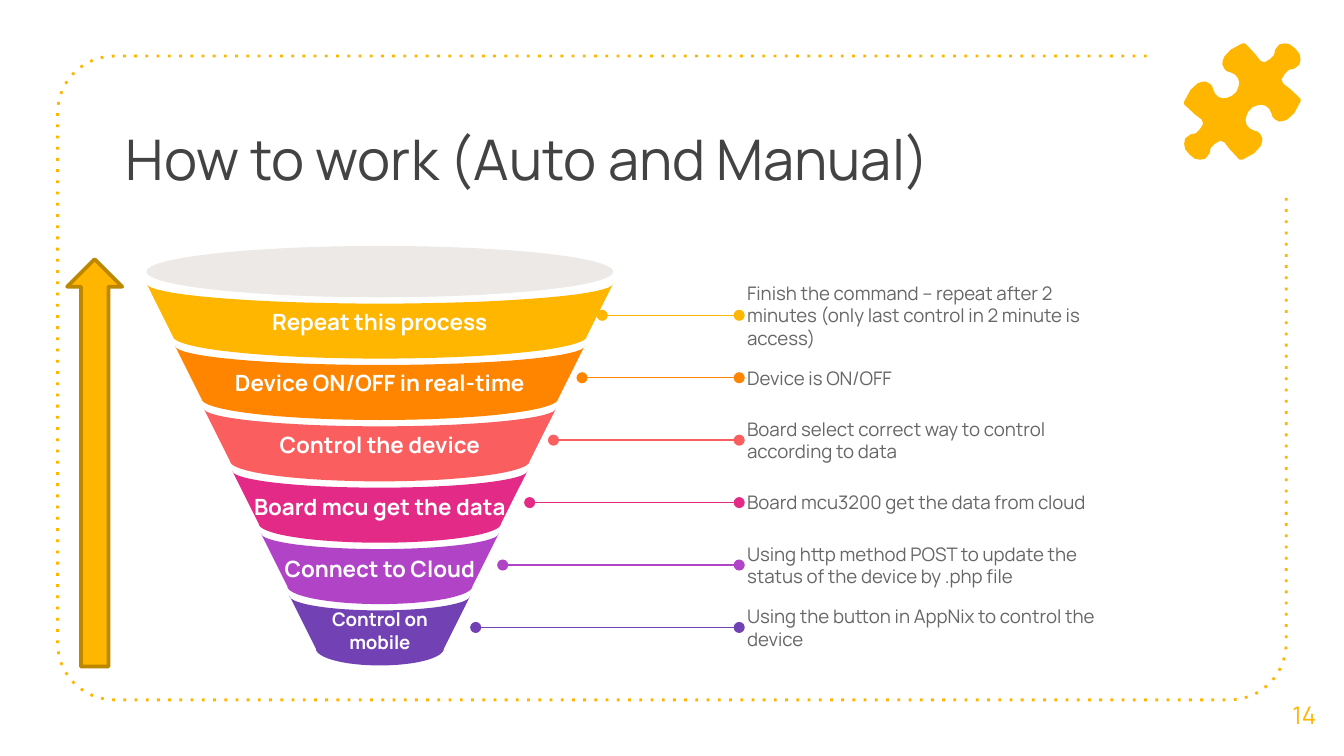
import math

from lxml import etree
from pptx import Presentation
from pptx.dml.color import RGBColor
from pptx.enum import shapes, text
from pptx.oxml.ns import qn
from pptx.util import Cm, Pt

rgb = RGBColor.from_string
AMBER = "FFB600"

prs = Presentation()
prs.slide_width, prs.slide_height = Cm(25.4), Cm(14.29)
s = prs.slides.add_slide(prs.slide_layouts[5])


def outline(points, closed=True):
    """Add a freeform through points given in centimetres."""
    pts = [(Cm(x), Cm(y)) for x, y in points]
    builder = s.shapes.build_freeform(*pts[0], scale=1.0)
    builder.add_line_segments(pts[1:], close=closed)
    sp = builder.convert_to_shape()
    sp.shadow.inherit = False
    return sp


def write(sp, words, size, colour, align, anchor, inset_x, inset_y, bold=False):
    tf = sp.text_frame
    tf.text = words
    tf.word_wrap = True
    tf.auto_size = text.MSO_AUTO_SIZE.NONE
    tf.vertical_anchor = anchor
    tf.margin_left = tf.margin_right = Cm(inset_x)
    tf.margin_top = tf.margin_bottom = Cm(inset_y)
    p = tf.paragraphs[0]
    p.alignment = align
    font = p.runs[0].font
    font.name, font.size, font.bold = "Manrope", Pt(size), bold
    font.color.rgb = rgb(colour)


LEFT, CENTER = text.PP_ALIGN.LEFT, text.PP_ALIGN.CENTER
TOP, MIDDLE = text.MSO_ANCHOR.TOP, text.MSO_ANCHOR.MIDDLE

# Dotted frame, open at the top right corner
left, top, right, bottom, radius = 1.09, 1.06, 24.31, 13.23, 1.07
corners = [(left + radius, top + radius, 270),
           (left + radius, bottom - radius, 180),
           (right - radius, bottom - radius, 90)]
frame_points = [(21.67, top)]
for cx, cy, start in corners:
    for step in range(13):
        a = math.radians(start - step * 7.5)
        frame_points.append((cx + radius * math.cos(a), cy + radius * math.sin(a)))
frame_points.append((right, 3.71))
frame = outline(frame_points, closed=False)
frame.fill.background()
frame.line.color.rgb = rgb(AMBER)
frame.line.width = Pt(1.5)
etree.SubElement(frame.line._get_or_add_ln(), qn("a:prstDash"), val="dot")

# Title and page number
title = s.shapes.title
title.left, title.top, title.width, title.height = Cm(2.13), Cm(2.11), Cm(20.24), Cm(2.39)
write(title, "How to work (Auto and Manual)", 30, "434343", LEFT, TOP, 0.25, 0.25)
number = s.shapes.add_textbox(Cm(23.9), Cm(12.75), Cm(1.5), Cm(1.52))
write(number, "14", 13, AMBER, CENTER, MIDDLE, 0.25, 0.25)

# Funnel: stage, text size, colour, start of the leader line, explanation
stages = [
    ("Repeat this process", 12, AMBER, 11.38,
     "Finish the command – repeat after 2 minutes (only last control in 2 minute is access)"),
    ("Device ON/OFF in real-time", 12, "FF8400", 11.0, "Device is ON/OFF"),
    ("Control the device", 12, "FA5E5E", 10.46,
     "Board select correct way to control according to data"),
    ("Board mcu get the data", 12, "E42A87", 10.01,
     "Board mcu3200 get the data from cloud"),
    ("Connect to Cloud", 12, "B143C7", 9.5,
     "Using http method POST to update the status of the device by .php file"),
    ("Control on mobile", 10, "7241B4", 8.99,
     "Using the button in AppNix to control the device"),
]
axis, pitch = 7.18, 1.18
angles = [math.pi * step / 32 for step in range(33)]
for i, (stage, size, colour, line_start, explanation) in enumerate(stages):
    band_top = 5.36 + pitch * i
    half_width = 4.41 - 0.54 * i
    sag = 0.38 - 0.02 * i
    upper = [(axis + half_width * math.cos(a), band_top + sag * math.sin(a))
             for a in angles]
    lower = [(axis - (half_width - 0.5) * math.cos(a),
              band_top + 1 + (sag + 0.04) * math.sin(a)) for a in angles]
    band = outline(upper + lower)
    band.fill.solid()
    band.fill.fore_color.rgb = rgb(colour)
    band.line.fill.background()
    write(band, stage, size, "FFFFFF", CENTER, MIDDLE, 0.32, 0.1, bold=True)

    y = 5.96 + pitch * i
    leader = s.shapes.add_connector(shapes.MSO_CONNECTOR.STRAIGHT,
                                    Cm(line_start), Cm(y), Cm(13.97), Cm(y))
    leader.line.color.rgb = rgb(colour)
    leader.line.width = Pt(0.75)
    ln = leader.line._get_or_add_ln()
    for end in ("a:headEnd", "a:tailEnd"):
        etree.SubElement(ln, qn(end), type="oval")
    etree.SubElement(leader._element.spPr, qn("a:effectLst"))

    label = s.shapes.add_textbox(Cm(14.12), Cm(y - 0.42), Cm(6.81), Cm(0.84))
    write(label, explanation, 10, "666666", LEFT, MIDDLE, 0, 0)

# Funnel mouth, upward arrow
mouth = s.shapes.add_shape(shapes.MSO_SHAPE.OVAL, Cm(2.77), Cm(4.65), Cm(8.82), Cm(0.97))
arrow = s.shapes.add_shape(shapes.MSO_SHAPE.UP_ARROW, Cm(1.27), Cm(4.9), Cm(1.04), Cm(7.7))
arrow.line.color.rgb = rgb("BD8700")
arrow.line.width = Pt(2)

# Puzzle piece: half a notch and half a tab, in millimetres from the centre
notch = [(0, -11), (-0.9, -10.5), (-2.2, -9.8), (-3.4, -8.5), (-3.7, -7.7),
         (-3.8, -7), (-3.4, -6.2), (-2.9, -5.7), (-2.2, -5.5), (-1.4, -5.1),
         (-0.8, -4.4), (-0.6, -3.6), (-0.7, -2.9), (-1.1, -1.9), (-1.5, -1.5)]
tab = [(-11, 0.5), (-10.5, 1), (-9, 2.4), (-7.7, 3.4), (-7.4, 4.2), (-8, 5.2),
       (-8.8, 6), (-9.8, 6.2), (-10.8, 7), (-11, 8), (-10.8, 9), (-10, 10)]
half = notch + [(y, x) for x, y in reversed(notch)]
half += tab + [(-y, -x) for x, y in reversed(tab)]
piece = outline([(23.48 + turn * x / 10, 1.92 + turn * y / 10)
                 for turn in (1, -1) for x, y in half])

for sp, colour in ((mouth, "ECE9E6"), (arrow, AMBER), (piece, AMBER)):
    sp.shadow.inherit = False
    sp.fill.solid()
    sp.fill.fore_color.rgb = rgb(colour)
for sp in (mouth, piece):
    sp.line.fill.background()

prs.save("out.pptx")
